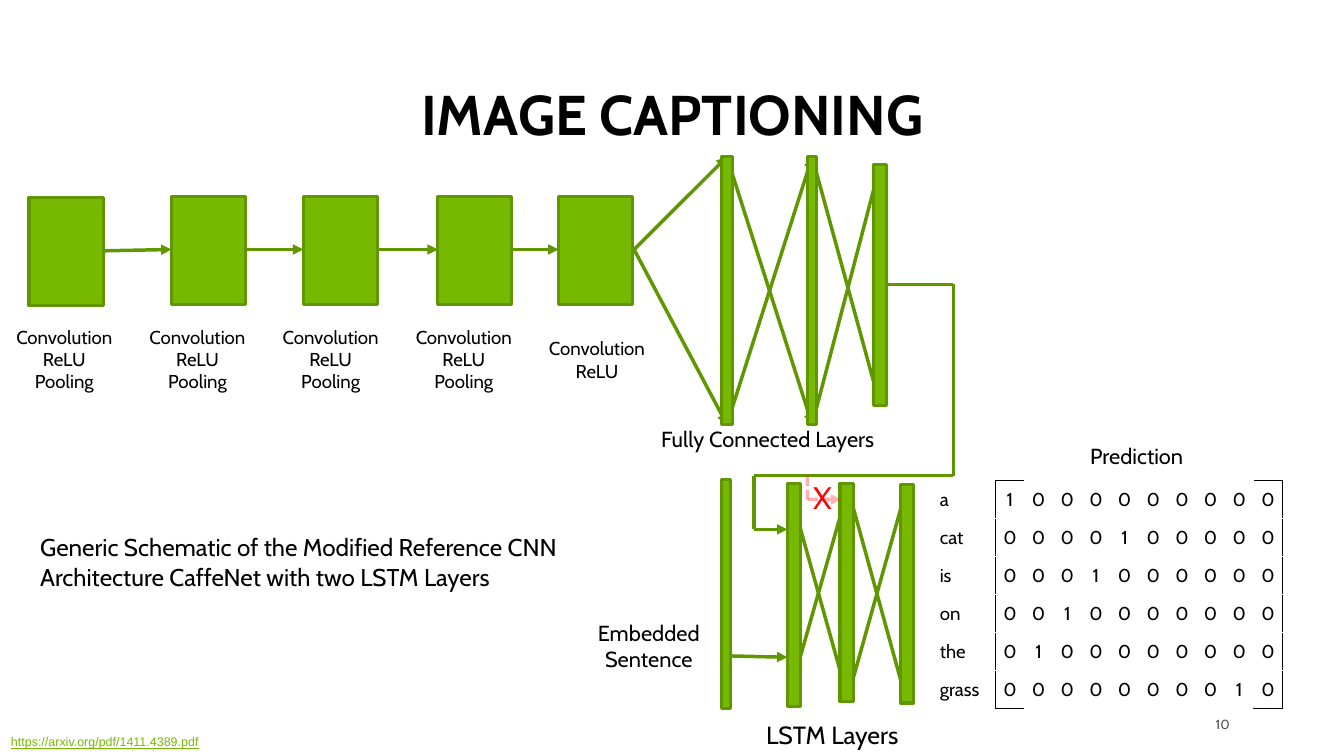
from dataclasses import dataclass
from itertools import pairwise

from lxml import etree
from pptx import Presentation
from pptx import util as u
from pptx.dml.color import RGBColor
from pptx.enum import dml, shapes, text
from pptx.oxml import ns


@dataclass(frozen=True)
class Theme:
    face: str = "Cabin"
    link_face: str = "Arial"
    ink: str = "000000"
    muted: str = "505050"
    green: str = "76B900"
    edge: str = "609600"
    removed: str = "FF0000"
    title: float = 36
    cross_out: float = 20
    heading: float = 16
    caption: float = 15.6
    label: float = 14
    small: float = 12
    number: float = 8.5
    link: float = 8


@dataclass(frozen=True)
class Box:
    left: float
    top: float
    width: float
    height: float

    def place(self, x, y, width, height):
        return Box(self.left + x, self.top + y, width, height)

    def point(self, x, y):
        return self.left + x, self.top + y

    def lengths(self):
        return [u.Cm(v) for v in (self.left, self.top, self.width, self.height)]


THEME = Theme()
CENTER = text.PP_ALIGN.CENTER
MIDDLE = text.MSO_ANCHOR.MIDDLE


def style(paragraph, size, color=THEME.ink, face=THEME.face, align=None):
    paragraph.alignment = align
    paragraph.font.size = u.Pt(size)
    paragraph.font.name = face
    paragraph.font.color.rgb = RGBColor.from_string(color)


def write(slide, box, lines, size, color=THEME.ink, face=THEME.face,
          align=CENTER, anchor=text.MSO_ANCHOR.TOP, wrap=True):
    frame = slide.shapes.add_textbox(*box.lengths()).text_frame
    frame.word_wrap = wrap
    frame.vertical_anchor = anchor
    frame.text = lines
    for paragraph in frame.paragraphs:
        style(paragraph, size, color, face, align)
    return frame


def bar(slide, box):
    block = slide.shapes.add_shape(shapes.MSO_SHAPE.RECTANGLE, *box.lengths())
    block.shadow.inherit = False
    block.fill.solid()
    block.fill.fore_color.rgb = RGBColor.from_string(THEME.green)
    block.line.color.rgb = RGBColor.from_string(THEME.edge)
    block.line.width = u.Pt(2)


def link(slide, start, end, arrow=True, color=THEME.edge, dashed=False):
    ends = [u.Cm(v) for v in (*start, *end)]
    edge = slide.shapes.add_connector(shapes.MSO_CONNECTOR.STRAIGHT, *ends)
    edge.line.color.rgb = RGBColor.from_string(color)
    edge.line.width = u.Pt(2.25)
    properties = edge.element.spPr
    if dashed:
        edge.line.dash_style = dml.MSO_LINE.SQUARE_DOT
        shade = properties.find(".//" + ns.qn("a:srgbClr"))
        etree.SubElement(shade, ns.qn("a:alpha"), val="30000")
    if arrow:
        etree.SubElement(edge.line._get_or_add_ln(), ns.qn("a:tailEnd"), type="triangle")
    etree.SubElement(properties, ns.qn("a:effectLst"))


def route(slide, box, points, **look):
    legs = list(pairwise(box.point(*p) for p in points))
    for leg, (start, end) in enumerate(legs, 1):
        link(slide, start, end, arrow=leg == len(legs), **look)


def cross(slide, box, left, right):
    (x, top, bottom), (next_x, next_top, next_bottom) = left, right
    link(slide, box.point(x, top), box.point(next_x, next_bottom))
    link(slide, box.point(x, bottom), box.point(next_x, next_top))


def title(slide, box):
    frame = write(slide, box, "IMAGE CAPTIONING", THEME.title, anchor=text.MSO_ANCHOR.BOTTOM)
    frame.paragraphs[0].font.bold = True
    frame.paragraphs[0].line_spacing = 0.9


def convolutions(slide, box):
    side, label_pitch = 1.68, 3.02
    lefts = [0.66, 3.89, 6.88, 9.93, 12.67]
    for i, left in enumerate(lefts):
        bar(slide, box.place(left, 0 if i else 0.03, side, 2.46))
        last = i == len(lefts) - 1
        layers = ["Convolution", "ReLU"] + ([] if last else ["Pooling"])
        write(slide, box.place(i * label_pitch, 3.07 if last else 2.81, 2.92, 0.6 * len(layers)),
              "\n".join(layers), THEME.small)
    for i, (left, following) in enumerate(pairwise(lefts)):
        link(slide, box.point(left + side, 1.21 if i else 1.24), box.point(following, 1.21))


def fully_connected(slide, box):
    bars = [(0, 0, 0.25, 6.07), (1.96, 0, 0.2, 6.07), (3.45, 0.18, 0.3, 5.46)]
    spans = [(x + w / 2, y, y + h) for x, y, w, h in bars]
    middle, top, bottom = spans[0]
    for y in (top, bottom):
        link(slide, box.point(-1.98, 2.1), box.point(middle, y))
    for left, right in pairwise(spans):
        cross(slide, box, left, right)
    for part in bars:
        bar(slide, box.place(*part))
    write(slide, box.place(-1.83, 5.97, 5.77, 0.86), "Fully Connected Layers", THEME.label)


def lstm(slide, box):
    cross(slide, box, (1.5, 0.08, 5.05), (2.9, 0.13, 5.08))
    cross(slide, box, (2.84, 0.1, 5.05), (4.22, 0.13, 5.11))
    for part in [(0, 0, 0.2, 5.21), (1.5, 0.1, 0.3, 5.05),
                 (2.69, 0.1, 0.3, 4.95), (4.06, 0.13, 0.3, 4.95)]:
        bar(slide, box.place(*part))
    link(slide, box.point(0.2, 4.01), box.point(1.5, 4.04))
    write(slide, box.place(-3.73, 3.07, 4.17, 1.45), "Embedded Sentence", THEME.label)
    write(slide, box.place(0.1, 5.33, 4.83, 0.94), "LSTM Layers", THEME.heading)


def rerouted_input(slide, box):
    route(slide, box, [(3.05, 0), (4.55, 0), (4.55, 4.34), (0.03, 4.34), (0.03, 5.56), (0.79, 5.56)])
    route(slide, box, [(1.24, 4.34), (1.24, 4.88), (2.01, 4.88)],
          color=THEME.removed, dashed=True)
    mark = write(slide, box.place(1.12, 4.37, 0.91, 1.02), "X", THEME.cross_out,
                 THEME.removed, anchor=MIDDLE, wrap=False)
    mark.paragraphs[0].line_spacing = 0.9


def outline(cell, sides):
    properties = cell._tc.get_or_add_tcPr()
    for side in "LRTB":
        if side in sides:
            line = etree.SubElement(properties, ns.qn("a:ln" + side), w=str(u.Pt(1)))
            fill = etree.SubElement(line, ns.qn("a:solidFill"))
            etree.SubElement(fill, ns.qn("a:srgbClr"), val=THEME.ink)


def prediction(slide, box):
    hot_columns = {"a": 1, "cat": 5, "is": 4, "on": 3, "the": 2, "grass": 9}
    last_row, last_column = len(hot_columns) - 1, 10
    write(slide, box.place(3.07, -0.97, 3.3, 0.86), "Prediction", THEME.label)
    grid = slide.shapes.add_table(last_row + 1, last_column + 1, *box.lengths()).table
    grid.first_row = grid.horz_banding = False
    for c, column in enumerate(grid.columns):
        column.width = u.Cm(0.65 if c else 1.52)
    for r, (word, hot) in enumerate(hot_columns.items()):
        grid.rows[r].height = u.Cm(box.height / len(hot_columns))
        for c in range(last_column + 1):
            cell = grid.cell(r, c)
            sides = {0: "R", 1: "L", last_column: "R"}.get(c, "")
            if c in (1, last_column):
                sides += {0: "T", last_row: "B"}.get(r, "")
            outline(cell, sides)
            cell.fill.background()
            cell.vertical_anchor = MIDDLE
            if c:
                cell.margin_left = cell.margin_right = 0
            cell.text = str(int(c == hot)) if c else word
            style(cell.text_frame.paragraphs[0], THEME.small, align=CENTER if c else None)


def notes_and_source(slide, box):
    left = text.PP_ALIGN.LEFT
    write(slide, box.place(0.66, 0, 14.71, 1.57),
          "Generic Schematic of the Modified Reference CNN Architecture CaffeNet with two LSTM Layers",
          THEME.caption, align=left)
    source = write(slide, box.place(0, 4.57, 15.24, 0.61), "https://arxiv.org/pdf/1411.4389.pdf",
                   THEME.link, THEME.green, THEME.link_face, left)
    source.paragraphs[0].font.underline = True


def page_number(slide, box):
    frame = write(slide, box, "10", THEME.number, THEME.muted,
                  align=text.PP_ALIGN.RIGHT, anchor=MIDDLE)
    frame.margin_left = frame.margin_right = frame.margin_top = frame.margin_bottom = 0


def main():
    deck = Presentation()
    deck.slide_width, deck.slide_height = u.Cm(30.48), u.Cm(17.15)
    slide = deck.slides.add_slide(deck.slide_layouts[6])
    page_number(slide, Box(27.13, 16.21, 0.76, 0.46))
    title(slide, Box(1.4, 1.83, 27.71, 1.65))
    convolutions(slide, Box(0, 4.45, 15, 4.6))
    fully_connected(slide, Box(16.36, 3.56, 3.75, 6.83))
    lstm(slide, Box(16.36, 10.87, 4.36, 6.27))
    prediction(slide, Box(21.06, 10.9, 8.02, 5.18))
    notes_and_source(slide, Box(0, 11.96, 15.37, 5.18))
    rerouted_input(slide, Box(17.07, 6.45, 4.55, 5.56))
    deck.save("out.pptx")


if __name__ == "__main__":
    main()
